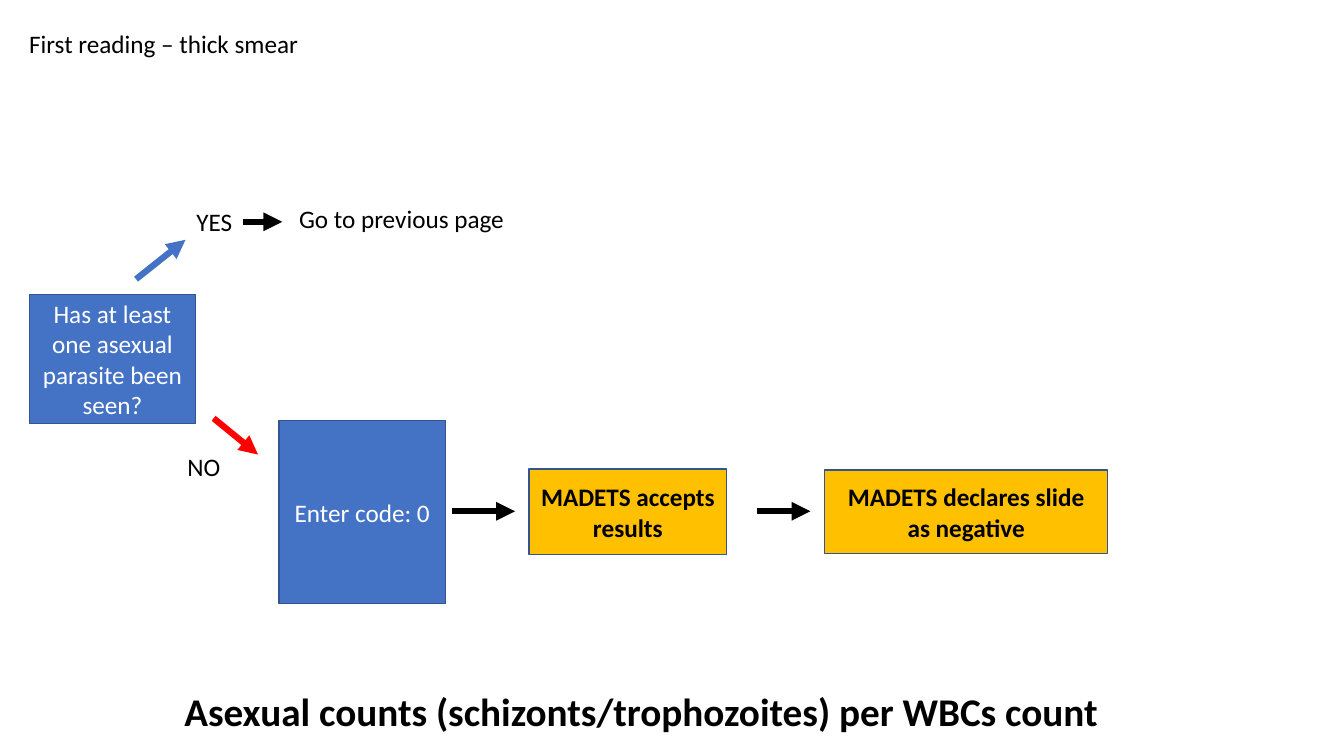
from dataclasses import dataclass

from lxml import etree
from pptx import Presentation
from pptx import util as u
from pptx.dml.color import RGBColor
from pptx.enum import shapes, text
from pptx.oxml.ns import qn


@dataclass(frozen=True)
class Theme:
    font: str = "Calibri"
    body: int = 18
    caption: int = 28
    outline: float = 1
    arrow: float = 4.5
    blue: str = "4472C4"
    edge: str = "325491"
    amber: str = "FFC000"
    red: str = "FF0000"
    black: str = "000000"
    white: str = "FFFFFF"


@dataclass(frozen=True)
class Box:
    left: float
    top: float
    width: float
    height: float

    def inner(self, left, top, width, height):
        """A box given by its offset inside this one."""
        return Box(self.left + left, self.top + top, width, height)

    def point(self, x, y):
        return self.left + x, self.top + y

    def lengths(self):
        return [u.Pt(v) for v in (self.left, self.top, self.width, self.height)]


THEME = Theme()


def colour(value):
    return RGBColor.from_string(value)


def write(frame, words, size, ink, bold=False):
    para = frame.paragraphs[0]
    span = para.add_run()
    span.text = words
    span.font.name = THEME.font
    span.font.size = u.Pt(size)
    span.font.bold = bold
    span.font.color.rgb = colour(ink)
    return para


def add_label(page, box, words, size=THEME.body, bold=False, wrap=False):
    label = page.shapes.add_textbox(*box.lengths())
    frame = label.text_frame
    frame.word_wrap = wrap
    frame.auto_size = text.MSO_AUTO_SIZE.SHAPE_TO_FIT_TEXT
    write(frame, words, size, THEME.black, bold)
    return label


def add_step(page, box, words, fill, ink, bold=False):
    step = page.shapes.add_shape(shapes.MSO_SHAPE.RECTANGLE, *box.lengths())
    step.shadow.inherit = False
    step.fill.solid()
    step.fill.fore_color.rgb = colour(fill)
    step.line.color.rgb = colour(THEME.edge)
    step.line.width = u.Pt(THEME.outline)
    frame = step.text_frame
    frame.word_wrap = True
    frame.vertical_anchor = text.MSO_ANCHOR.MIDDLE
    para = write(frame, words, THEME.body, ink, bold)
    para.alignment = text.PP_ALIGN.CENTER
    return step


def add_arrow(page, start, end, ink=THEME.black):
    ends = [u.Pt(v) for v in (*start, *end)]
    arrow = page.shapes.add_connector(shapes.MSO_CONNECTOR.STRAIGHT, *ends)
    arrow.line.color.rgb = colour(ink)
    arrow.line.width = u.Pt(THEME.arrow)
    properties = arrow._element.spPr
    outline = properties.find(qn("a:ln"))
    etree.SubElement(outline, qn("a:tailEnd"), type="triangle")
    etree.SubElement(properties, qn("a:effectLst"))
    return arrow


def add_question(page, box):
    """The opening question with its YES and NO arrows."""
    add_step(page, box, "Has at least one asexual parasite been seen?",
             THEME.blue, THEME.white)
    add_arrow(page, box.point(76.3, -10.8), box.point(111.6, -38.9), THEME.blue)
    add_arrow(page, box.point(131.7, 88.6), box.point(163.4, 114.5), THEME.red)
    add_label(page, box.inner(105.8, 108.8, 38.2, 28.8), "NO")


def add_yes_branch(page, box):
    """YES leads back to the previous page."""
    yes = add_label(page, box.inner(0, 2.2, 40.3, 28.8), "YES")
    arrow = add_arrow(page, box.point(40.3, 16.6), box.point(68.4, 16.6))
    arrow.begin_connect(yes, 3)
    add_label(page, box.inner(73.4, 0, 162.7, 28.8), "Go to previous page")


def add_no_branch(page, box):
    """NO leads through three steps, centred on one axis."""
    steps = [
        (0, 118.8, 131, "Enter code: 0", THEME.blue, THEME.white, False),
        (178.6, 141.1, 61.2, "MADETS accepts results",
         THEME.amber, THEME.black, True),
        (389.6, 202.3, 59.8, "MADETS declares slide as negative",
         THEME.amber, THEME.black, True),
    ]
    for left, width, height, *look in steps:
        top = (box.height - height) / 2
        add_step(page, box.inner(left, top, width, height), *look)
    for start, end in ((123.2, 168.5), (341.3, 379.5)):
        add_arrow(page, box.point(start, 65), box.point(end, 65))


def main():
    deck = Presentation()
    deck.slide_width, deck.slide_height = u.Pt(960), u.Pt(540)
    page = deck.slides.add_slide(deck.slide_layouts[6])

    # Heading
    add_label(page, Box(13.7, 16.6, 208.8, 28.8), "First reading – thick smear")

    # Decision flow
    add_question(page, Box(20.9, 210.2, 118.8, 92.2))
    add_yes_branch(page, Box(133.2, 141.8, 236.1, 31))
    add_no_branch(page, Box(199.4, 300.2, 591.9, 131))

    # Caption
    add_label(page, Box(124.6, 487.4, 722.9, 41),
              "Asexual counts (schizonts/trophozoites) per WBCs count",
              THEME.caption, bold=True, wrap=True)

    deck.save("out.pptx")


if __name__ == "__main__":
    main()
